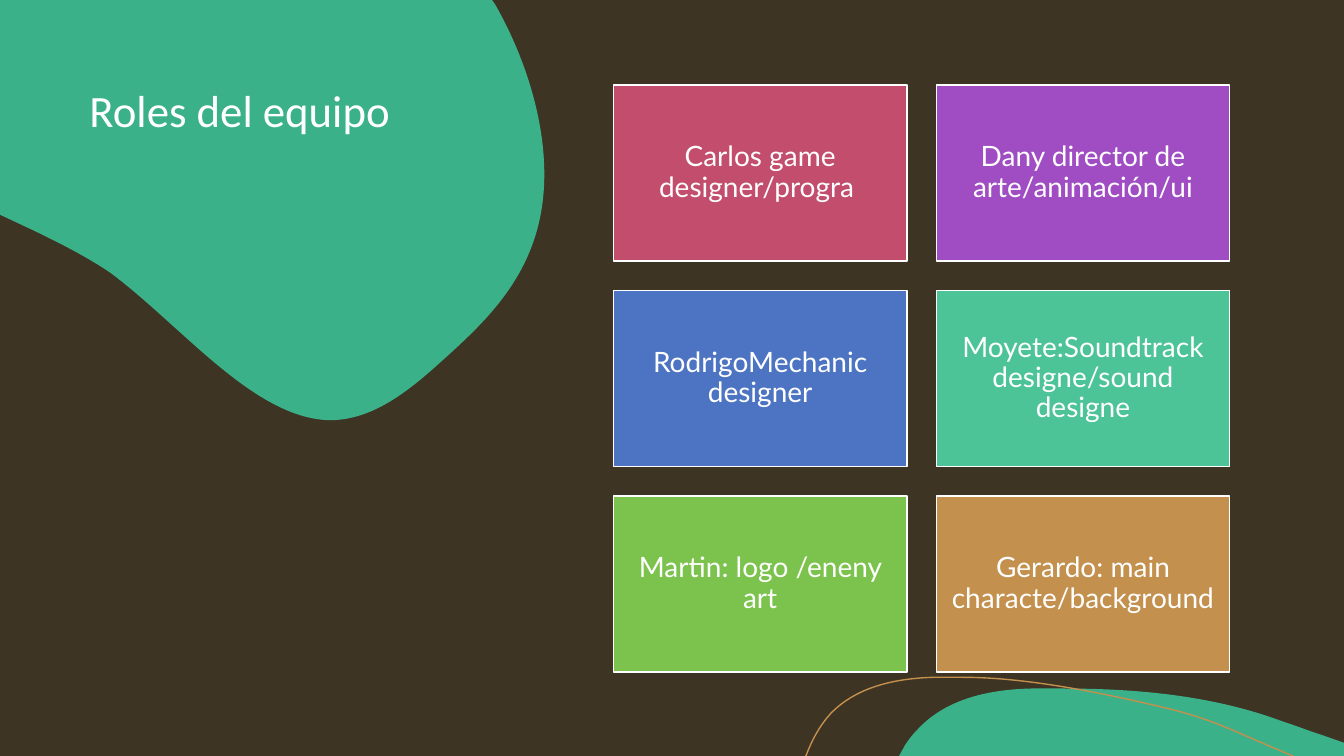
import lxml.etree
import pptx
import pptx.dml.color
import pptx.enum.shapes
import pptx.enum.text
import pptx.oxml.ns
import pptx.util

Pt = pptx.util.Pt
RGBColor = pptx.dml.color.RGBColor
MSO_ANCHOR = pptx.enum.text.MSO_ANCHOR
PP_ALIGN = pptx.enum.text.PP_ALIGN
qn = pptx.oxml.ns.qn

BROWN = RGBColor(0x3E, 0x34, 0x23)
GREEN = RGBColor(0x3B, 0xB1, 0x8A)
WHITE = RGBColor(0xFF, 0xFF, 0xFF)
ROSE = RGBColor(0xC3, 0x4D, 0x6C)
PURPLE = RGBColor(0xA0, 0x4D, 0xC3)
BLUE = RGBColor(0x4D, 0x74, 0xC3)
MINT = RGBColor(0x4D, 0xC3, 0x98)
LIME = RGBColor(0x7C, 0xC3, 0x4D)
OCHRE = RGBColor(0xC3, 0x90, 0x4D)

SLIDE_WIDTH, SLIDE_HEIGHT = 960, 540
TITLE_BOX = {"left": Pt(56.7), "top": Pt(60), "width": Pt(303), "height": Pt(180)}
TITLE_FRAME = {"vertical_anchor": MSO_ANCHOR.TOP, "word_wrap": True,
               "auto_size": pptx.enum.text.MSO_AUTO_SIZE.NONE}
TITLE_FONT = {"name": "Calibri", "size": Pt(32)}
CARD_FRAME = {"vertical_anchor": MSO_ANCHOR.MIDDLE, "word_wrap": True,
              "margin_left": Pt(6), "margin_right": Pt(6),
              "margin_top": Pt(6), "margin_bottom": Pt(6)}
CARD_FONT = {"name": "Lato", "size": Pt(20)}

ROLES = [
    ("Carlos game designer/progra ", ROSE),
    ("Dany director de arte/animación/ui", PURPLE),
    ("RodrigoMechanic designer", BLUE),
    ("Moyete:Soundtrack designe/sound designe", MINT),
    ("Martin: logo /eneny art", LIME),
    ("Gerardo: main characte/background", OCHRE),
]
COLUMNS = 2
CARD_LEFT, CARD_TOP = 438.2, 60.6
CARD_WIDTH, CARD_HEIGHT = 209.6, 125.8
GAP = 21

# Outlines: a start point, then lines (x, y) and cubic curves (x1, y1, x2, y2, x, y).
BLOB = [
    (0, 0), (351.4, 0), (353.5, 2.9),
    (376.6, 43.2, 392.4, 94.3, 388.1, 139.7),
    (383, 194.4, 349.9, 226.8, 319.7, 254.2),
    (294.5, 277.2, 267.8, 300.2, 235.4, 300.2),
    (181.4, 298.8, 131, 234, 79.2, 195.1),
    (63.4, 184.3, 43.9, 174.2, 23, 164.2),
    (0, 153.4), (0, 0),
]
HILL = [
    (758.9, 491.8),
    (812.2, 491.8, 866.9, 496.8, 916.6, 515.5),
    (925.9, 518.4, 934.6, 522, 943.9, 524.9),
    (960, 530.6), (960, 540), (642.2, 540), (646.6, 532.1),
    (649.4, 527.8, 652.3, 524.2, 655.9, 520.6),
    (676.1, 499, 707, 492.5, 736.6, 491.8),
    (743.8, 491.8, 751, 491.8, 758.9, 491.8),
]
SWOOSH = [
    (575.3, 540), (576, 539.3),
    (580.3, 527.8, 586.1, 517.7, 593.3, 509.8),
    (612, 490.3, 640.1, 484.6, 666.7, 483.8),
    (687.6, 483.8),
    (735.8, 483.8, 792, 496.1, 831.6, 505.4),
    (870.5, 514.8, 882.7, 523.4, 923.8, 540),
]


def set_values(obj, values):
    for name, value in values.items():
        setattr(obj, name, value)


def paint(sp, fill=None, line=None):
    sp.shadow.inherit = False
    for fmt, color in ((sp.fill, fill), (sp.line.fill, line)):
        if color is None:
            fmt.background()
        else:
            fmt.solid()
            fmt.fore_color.rgb = color
    if line is not None:
        sp.line.width = Pt(1)


def bend(sp, outline):
    """Turn the lines of a freeform into the cubic curves of its outline."""
    lines = list(sp.element.iter(qn("a:lnTo")))
    for line, segment in zip(lines, outline[1:]):
        if len(segment) == 2:
            continue
        line.tag = qn("a:cubicBezTo")
        for child in list(line):
            line.remove(child)
        for x, y in zip(segment[::2], segment[1::2]):
            lxml.etree.SubElement(line, qn("a:pt"), x=str(Pt(x) - sp.left),
                                  y=str(Pt(y) - sp.top))


def add_outline(s, outline, closed=True, **colors):
    points = [(Pt(segment[-2]), Pt(segment[-1])) for segment in outline]
    builder = s.shapes.build_freeform(*points[0])
    builder.add_line_segments(points[1:], close=closed)
    sp = builder.convert_to_shape()
    bend(sp, outline)
    paint(sp, **colors)


def add_rect(s, left, top, width, height, **colors):
    sp = s.shapes.add_shape(pptx.enum.shapes.MSO_SHAPE.RECTANGLE,
                            Pt(left), Pt(top), Pt(width), Pt(height))
    paint(sp, **colors)
    return sp


def write(sp, text, frame, font, align):
    tf = sp.text_frame
    set_values(tf, frame)
    p = tf.paragraphs[0]
    set_values(p, {"alignment": align, "line_spacing": 0.9})
    r = p.add_run()
    r.text = text
    set_values(r.font, font)
    r.font.color.rgb = WHITE


def add_title(s, text):
    sp = s.shapes.title
    set_values(sp, TITLE_BOX)
    write(sp, text, TITLE_FRAME, TITLE_FONT, PP_ALIGN.LEFT)
    sp.element.getparent().append(sp.element)  # in front of the blob


def add_role_card(s, index, text, color):
    row, column = divmod(index, COLUMNS)
    sp = add_rect(s, CARD_LEFT + column * (CARD_WIDTH + GAP),
                  CARD_TOP + row * (CARD_HEIGHT + GAP),
                  CARD_WIDTH, CARD_HEIGHT, fill=color, line=WHITE)
    write(sp, text, CARD_FRAME, CARD_FONT, PP_ALIGN.CENTER)


def main():
    prs = pptx.Presentation()
    set_values(prs, {"slide_width": Pt(SLIDE_WIDTH), "slide_height": Pt(SLIDE_HEIGHT)})
    s = prs.slides.add_slide(prs.slide_layouts.get_by_name("Title Only"))
    s.background.fill.solid()
    s.background.fill.fore_color.rgb = BROWN

    add_rect(s, 0, 0, SLIDE_WIDTH, SLIDE_HEIGHT, fill=BROWN)
    add_outline(s, BLOB, fill=GREEN)
    add_title(s, "Roles del equipo")
    add_outline(s, HILL, fill=GREEN)
    add_outline(s, SWOOSH, closed=False, line=OCHRE)
    for index, (text, color) in enumerate(ROLES):
        add_role_card(s, index, text, color)

    prs.save("out.pptx")


if __name__ == "__main__":
    main()
